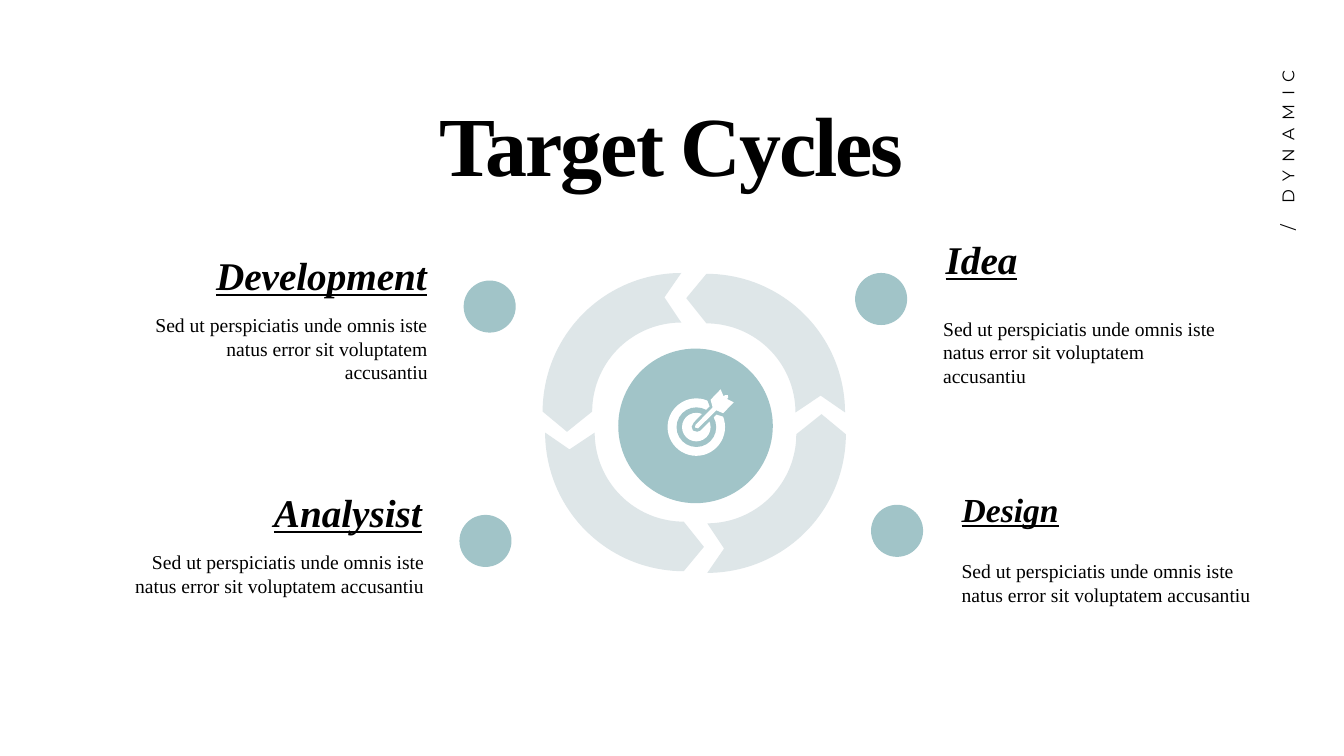
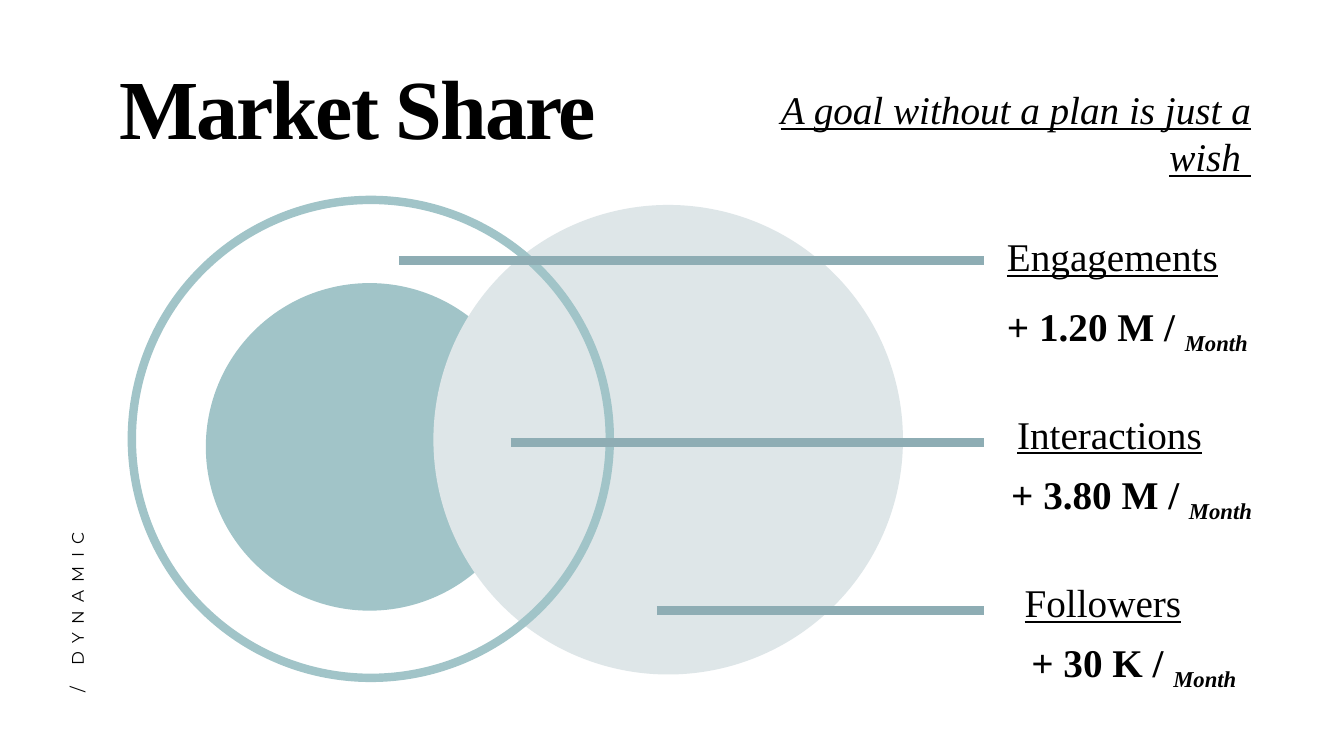
from math import cos, pi, sin

from pptx import Presentation
from pptx.dml.color import RGBColor
from pptx.enum.shapes import MSO_CONNECTOR, MSO_SHAPE
from pptx.enum.text import PP_ALIGN
from pptx.oxml.ns import qn
from pptx.util import Emu, Pt

CELL = 76200
COLUMNS, ROWS = 160, 90
LEFT, CENTER, RIGHT = PP_ALIGN.LEFT, PP_ALIGN.CENTER, PP_ALIGN.RIGHT
ELLIPSE = MSO_SHAPE.OVAL
STRAIGHT = MSO_CONNECTOR.STRAIGHT

COLORS = {
    "ink": "000000",
    "paper": "FFFFFF",
    "teal": "A1C4C8",
    "mist": "DEE6E8",
    "steel": "8EADB4",
}
SERIF, SANS = "Times New Roman", "Montserrat"

TITLE = {"size": 60, "bold": True, "spacing": -150}
TAG = {"size": 12, "face": SANS, "spacing": 600}
BODY = {"size": 14}
LABEL = {"size": 28, "underline": True}
QUOTE = {**LABEL, "italic": True}
HEADING = {**QUOTE, "bold": True}
VALUE = {"size": 28, "bold": True}
PERIOD = {**VALUE, "italic": True, "baseline": -25000}

BODY_TEXT = "Sed ut perspiciatis unde omnis iste natus error sit voluptatem accusantiu"
STEPS = [
    ("Development", 28, RIGHT, (55.2, 33.4), (10.8, 29.3, 41.2), (17.2, 36.7, 34.9)),
    ("Idea", 28, LEFT, (101.8, 32.5), (111.4, 27.4, 40.2), (111.1, 37.1, 36.5)),
    ("Analysist", 28, RIGHT, (54.7, 61.3), (10.6, 57.6, 40.8), (12.1, 64.9, 39.6)),
    ("Design", 24, LEFT, (103.7, 60.1), (113.3, 57.6, 36), (113.3, 66, 37.2)),
]
DOT = 6.2

SECTOR_CENTERS = [(84.2, 51.7), (81.4, 51.5), (81.1, 49), (84.1, 49.1)]
OUTER, MIDDLE, INNER = 16.5, 13.6, 10.6
POINT, NOTCH = 2.4, 2
ARC_STEPS = 40

TARGET_CENTER = (82.9, 50.85)
TARGET_RINGS = [(3.42, "paper"), (2.36, "teal"), (1.7, "paper")]
ARROW_GAP = [
    (84.2, 47.6), (84.5, 48.4), (82.6, 50.3), (82.35, 50.8), (82.5, 51.25),
    (83, 51.4), (83.4, 51.25), (85.3, 49.35), (86.1, 49.6), (87, 48.5), (85.4, 46.8),
]
ARROW = [
    (86.65, 47.05), (86.3, 47.05), (86.15, 47.2), (85.8, 46.35), (84.6, 47.6),
    (84.85, 48.5), (82.8, 50.6), (82.75, 50.9), (83.1, 51), (85.3, 48.85),
    (86.1, 49.2), (87.35, 47.9), (86.55, 47.5), (86.7, 47.35),
]

METRICS = [
    ("Engagements", "+ 1.20 M / ", 47.5, 31, (118.7, 27.1), (118.7, 35.4)),
    ("Interactions", "+ 3.80 M / ", 60.8, 52.7, (119.9, 48.2), (119.2, 55.4)),
    ("Followers", "+ 30 K / ", 78.2, 72.7, (120.8, 68.3), (121.6, 75.4)),
]
METRIC_WIDTH = 38
CALLOUT_END = 117.1


def cells(*lengths):
    return [Emu(round(length * CELL)) for length in lengths]


def color(name):
    return RGBColor.from_string(COLORS[name])


def add_span(para, text, style):
    span = para.add_run()
    span.text = text
    font = span.font
    font.name = style.get("face", SERIF)
    font.size = Pt(style["size"])
    font.bold = style.get("bold", False)
    font.italic = style.get("italic", False)
    font.underline = style.get("underline", False)
    font.color.rgb = color("ink")
    properties = span._r.get_or_add_rPr()
    for key, attribute in (("spacing", "spc"), ("baseline", "baseline")):
        if key in style:
            properties.set(attribute, str(style[key]))


def add_text(page, frame, spans, align=LEFT):
    box = page.shapes.add_textbox(*cells(*frame))
    box.text_frame.word_wrap = True
    para = box.text_frame.paragraphs[0]
    para.alignment = align
    for text, style in spans:
        add_span(para, text, style)
    return box


def add_tag(page, left, top, align):
    box = add_text(page, (left, top, 31.4, 3.6), [("/ DYNAMIC", TAG)], align)
    box.rotation = 270


def paint(shape, fill):
    shape.shadow.inherit = False
    shape.fill.solid()
    shape.fill.fore_color.rgb = color(fill)
    shape.line.fill.background()


def add_disc(page, left, top, size, fill):
    disc = page.shapes.add_shape(ELLIPSE, *cells(left, top, size, size))
    paint(disc, fill)


def add_ring(page, left, top, size):
    ring = page.shapes.add_shape(ELLIPSE, *cells(left, top, size, size))
    ring.shadow.inherit = False
    ring.fill.background()
    ring.line.color.rgb = color("teal")
    ring.line.width = Pt(6)


def add_outline(page, points, fill):
    first, *others = [cells(*point) for point in points]
    builder = page.shapes.build_freeform(*first)
    builder.add_line_segments(others, close=True)
    paint(builder.convert_to_shape(), fill)


def add_callout(page, start, row):
    line = page.shapes.add_connector(STRAIGHT, *cells(start, row, CALLOUT_END, row))
    line.line.color.rgb = color("steel")
    line.line.width = Pt(6)
    properties = line._element.spPr
    properties.append(properties.makeelement(qn("a:effectLst"), {}))


def sector_points(center, start):
    def polar(radius, angle, back=0):
        return (
            center[0] + radius * cos(angle) + back * sin(angle),
            center[1] + radius * sin(angle) - back * cos(angle),
        )

    end = start + pi / 2
    angles = [start + pi / 2 * step / ARC_STEPS for step in range(ARC_STEPS + 1)]
    return [
        polar(MIDDLE, start, POINT),
        *[polar(OUTER, angle) for angle in angles],
        polar(MIDDLE, end, NOTCH),
        *[polar(INNER, angle) for angle in reversed(angles)],
    ]


def add_step(page, name, size, align, dot, heading, body):
    add_disc(page, *dot, DOT, "teal")
    add_text(page, (*heading, 6), [(name, {**HEADING, "size": size})], align)
    add_text(page, (*body, 6.8), [(BODY_TEXT, BODY)], align)


def add_target(page):
    add_disc(page, 73.6, 41.5, 18.4, "teal")
    column, row = TARGET_CENTER
    for radius, fill in TARGET_RINGS:
        add_disc(page, column - radius, row - radius, 2 * radius, fill)
    add_outline(page, ARROW_GAP, "teal")
    add_outline(page, ARROW, "paper")


def add_metric(page, name, value, start, row, label_at, value_at):
    add_text(page, (*label_at, METRIC_WIDTH, 6.8), [(name, LABEL)])
    add_text(page, (*value_at, METRIC_WIDTH, 6.8), [(value, VALUE), ("Month", PERIOD)])
    add_callout(page, start, row)


def add_page(deck, title, frame, align):
    page = deck.slides.add_slide(deck.slide_layouts[6])
    add_text(page, frame, [(title, TITLE)], align)
    return page


def build_cycles(deck):
    page = add_page(deck, "Target Cycles", (13.6, 10.4, 132.7, 13.3), CENTER)
    for step in STEPS:
        add_step(page, *step)
    for quarter, center in enumerate(SECTOR_CENTERS):
        add_outline(page, sector_points(center, quarter * pi / 2), "mist")
    add_target(page)
    add_tag(page, 137.6, 21.1, RIGHT)


def build_share(deck):
    page = add_page(deck, "Market Share", (13, 6, 68.8, 13.3), LEFT)
    add_disc(page, 24.5, 33.7, 39, "teal")
    add_disc(page, 51.6, 24.4, 55.9, "mist")
    add_ring(page, 15.7, 23.8, 56.9)
    quote = "A goal without a plan is just a wish "
    add_text(page, (85.3, 9.6, 64.8, 6.8), [(quote, QUOTE)], RIGHT)
    for metric in METRICS:
        add_metric(page, *metric)
    add_tag(page, -6.5, 66.1, LEFT)


def main():
    deck = Presentation()
    deck.slide_width, deck.slide_height = cells(COLUMNS, ROWS)
    build_cycles(deck)
    build_share(deck)
    deck.save("out.pptx")


if __name__ == "__main__":
    main()
